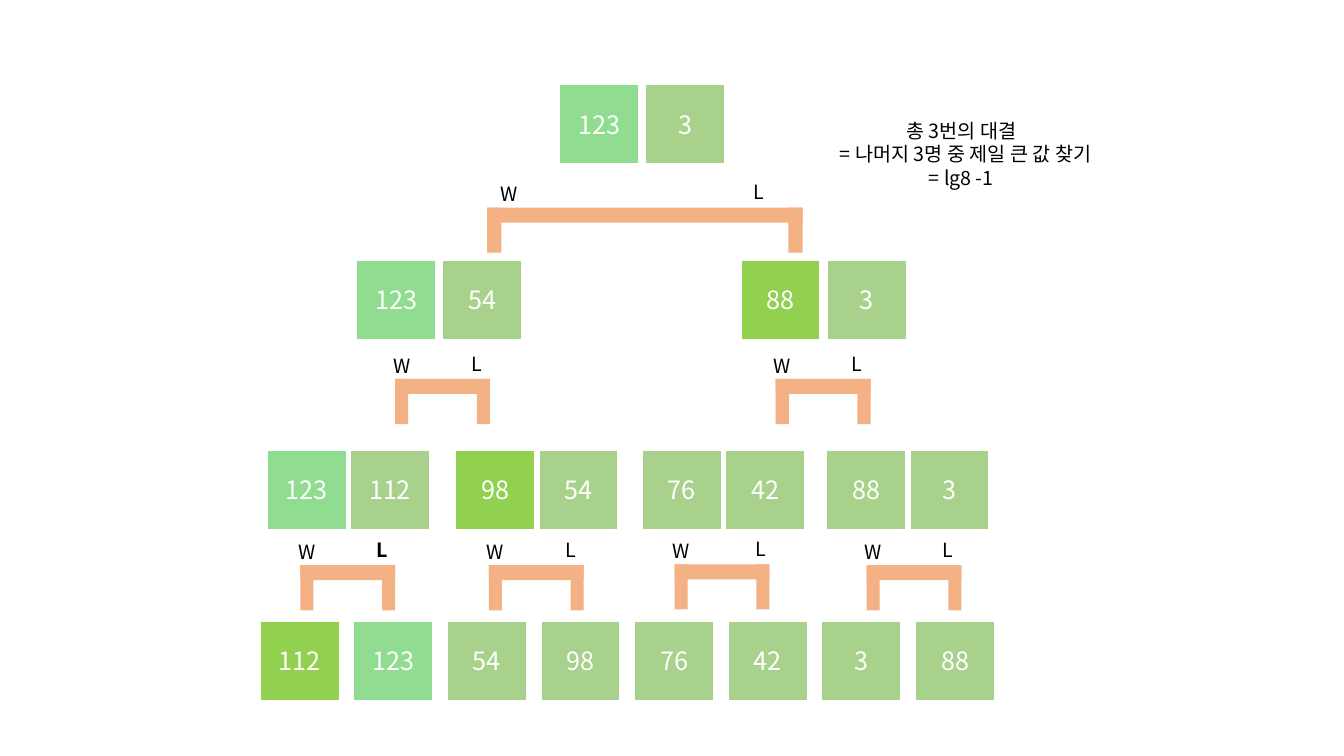
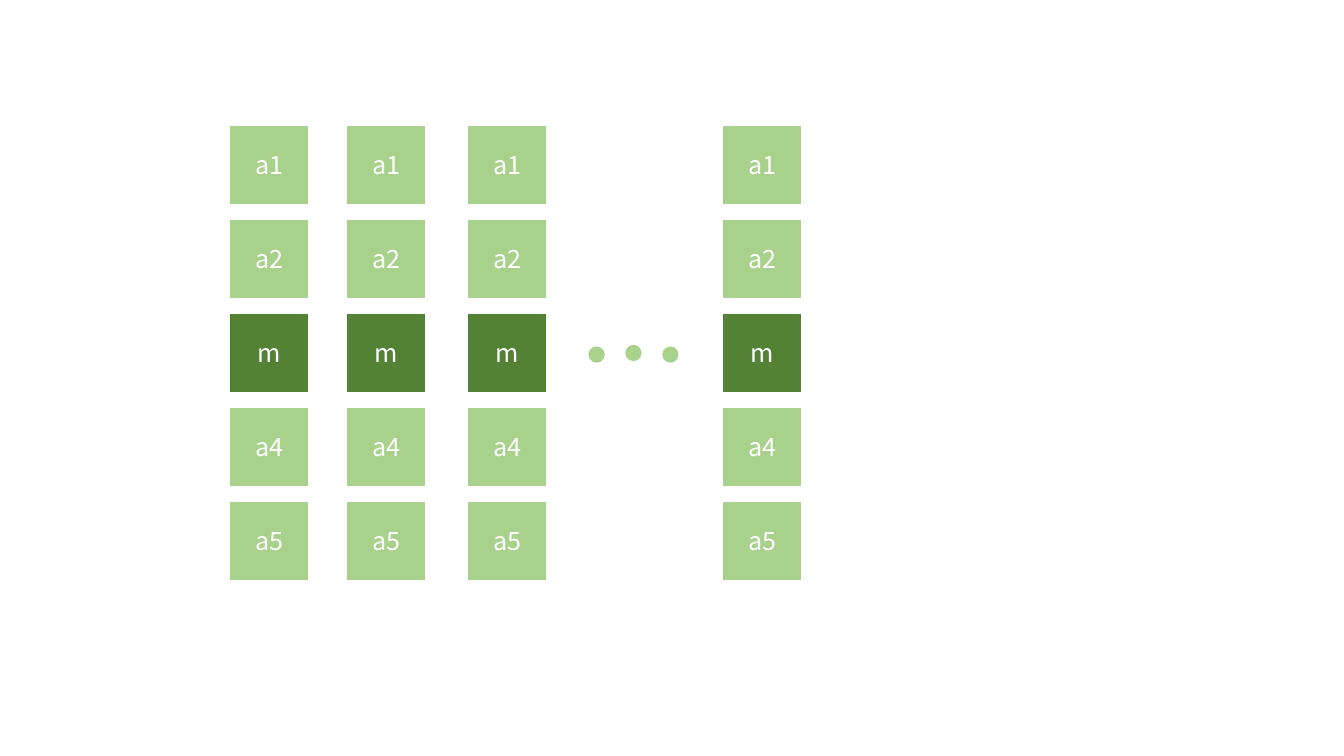
from lxml import etree
from pptx import Presentation
from pptx.dml.color import RGBColor
from pptx.enum.shapes import MSO_SHAPE
from pptx.enum.text import MSO_ANCHOR, PP_ALIGN
from pptx.oxml.ns import qn
from pptx.util import Cm, Pt

RECTANGLE = MSO_SHAPE.RECTANGLE
OVAL = MSO_SHAPE.OVAL
MIDDLE = MSO_ANCHOR.MIDDLE
TOP = MSO_ANCHOR.TOP
CENTER = PP_ALIGN.CENTER

FONT = "Noto Sans CJK KR"
WHITE, BLACK = "FFFFFF", "000000"
GREEN, MINT, LIME, DARK_GREEN = "A8D18C", "90DC90", "92D050", "548235"
ORANGE = "F4B183"
BOX_SIZE = 2

CHAMPION = "123"
ROUNDS = [
    {"top": 2.13, "gap": 2.17, "rival": None,
     "pairs": [(14.1, "123", "3")]},
    {"top": 6.55, "gap": 2.17, "rival": "88",
     "pairs": [(8.99, "123", "54"), (18.67, "88", "3")]},
    {"top": 11.34, "gap": 2.1, "rival": "98",
     "pairs": [(6.73, "123", "112"), (11.48, "98", "54"),
               (16.18, "76", "42"), (20.83, "88", "3")]},
    {"top": 15.65, "gap": 2.36, "rival": "112",
     "pairs": [(6.55 + 4.72 * index, *values) for index, values in enumerate(
         [("112", "123"), ("54", "98"), ("76", "42"), ("3", "88")])]},
]
BRACKETS = [
    {"left": 12.28, "top": 5.23, "width": 7.95, "leg": 0.36},
    {"left": 9.96, "top": 9.55},
    {"left": 19.55, "top": 9.55},
    {"left": 7.57, "top": 14.24, "loser_bold": True},
    {"left": 12.32, "top": 14.24},
    {"left": 17, "top": 14.22, "loser_shift": 0.12},
    {"left": 21.84, "top": 14.24},
]
NOTE = "총 3번의 대결 \n = 나머지 3명 중 제일 큰 값 찾기\n= lg8 -1 "


def color(value):
    return RGBColor.from_string(value)


def write(frame, text, size=18, fill=WHITE, bold=False, anchor=MIDDLE):
    frame.word_wrap = True
    frame.vertical_anchor = anchor
    for index, line in enumerate(text.split("\n")):
        paragraph = frame.add_paragraph() if index else frame.paragraphs[0]
        paragraph.alignment = CENTER
        run = paragraph.add_run()
        run.text = line
        run.font.name = FONT
        run.font.size = Pt(size)
        run.font.bold = bold
        run.font.color.rgb = color(fill)
        east_asian = etree.SubElement(run._r.get_or_add_rPr(), qn("a:ea"))
        east_asian.set("typeface", FONT)


class Deck:
    def __init__(self):
        self.presentation = Presentation()
        self.presentation.slide_width = Cm(33.87)
        self.presentation.slide_height = Cm(19.05)
        self.slide = None

    def new_slide(self):
        layout = self.presentation.slide_layouts[6]
        self.slide = self.presentation.slides.add_slide(layout)

    def shape(self, left, top, width, height, fill, kind=RECTANGLE, parent=None):
        shapes = (parent or self.slide).shapes
        shape = shapes.add_shape(kind, Cm(left), Cm(top), Cm(width), Cm(height))
        shape.shadow.inherit = False
        shape.fill.solid()
        shape.fill.fore_color.rgb = color(fill)
        shape.line.fill.background()
        return shape

    def box(self, left, top, text, fill=GREEN):
        shape = self.shape(left, top, BOX_SIZE, BOX_SIZE, fill)
        shape.line.color.rgb = color(WHITE)
        shape.line.width = Pt(1)
        write(shape.text_frame, text)

    def label(self, left, top, width, height, text, bold=False, parent=None):
        shapes = (parent or self.slide).shapes
        text_box = shapes.add_textbox(Cm(left), Cm(top), Cm(width), Cm(height))
        write(text_box.text_frame, text, size=14, fill=BLACK, bold=bold, anchor=TOP)

    def bracket(self, left, top, width=2.39, leg=0.33, loser_bold=False, loser_shift=0):
        group = self.slide.shapes.add_group_shape()
        self.shape(left, top, width, 0.38, ORANGE, parent=group)
        for leg_left in (left, left + width - leg):
            self.shape(leg_left, top, leg, 1.14, ORANGE, parent=group)
        label_width = 0.44 * width
        winner_left = left + 0.07 * width - label_width / 2
        loser_left = left + 0.86 * width - label_width / 2 + loser_shift
        self.label(winner_left, top - 0.76, label_width, 0.86, "W", parent=group)
        self.label(loser_left, top - 0.81, label_width, 0.86, "L",
                   bold=loser_bold, parent=group)

    def dot(self, left, top):
        self.shape(left, top, 0.41, 0.41, GREEN, kind=OVAL)


def build_tournament(deck):
    deck.new_slide()
    for bracket in BRACKETS:
        deck.bracket(**bracket)
    for level in ROUNDS:
        fills = {CHAMPION: MINT, level["rival"]: LIME}
        for left, *values in level["pairs"]:
            for index, value in enumerate(values):
                deck.box(left + index * level["gap"], level["top"], value,
                         fills.get(value, GREEN))
    deck.label(20.19, 2.87, 8.18, 2.06, NOTE)


def build_medians(deck):
    deck.new_slide()
    for left in (5.79, 8.74, 11.79, 18.21):
        for row, text in enumerate(["a1", "a2", "m", "a4", "a5"]):
            deck.box(left, 3.15 + 2.37 * row, text,
                     DARK_GREEN if text == "m" else GREEN)
    for index, top in enumerate([8.73, 8.69, 8.73]):
        deck.dot(14.83 + 0.93 * index, top)


def main():
    deck = Deck()
    build_tournament(deck)
    build_medians(deck)
    deck.presentation.save("out.pptx")


if __name__ == "__main__":
    main()
